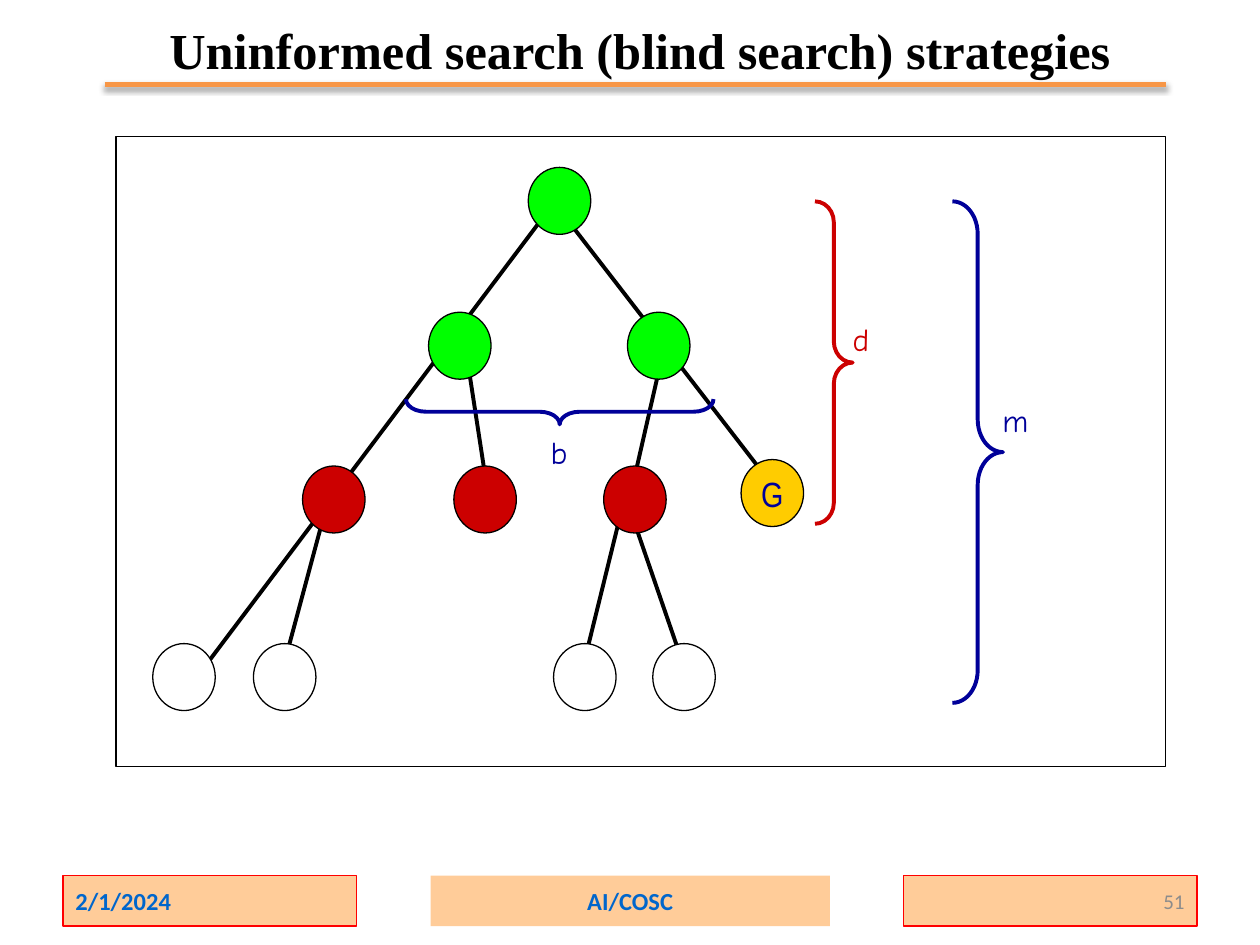
from dataclasses import dataclass
from typing import Optional

from lxml import etree
from pptx import Presentation
from pptx.dml.color import RGBColor
from pptx.enum.shapes import MSO_CONNECTOR, MSO_SHAPE
from pptx.enum.text import MSO_ANCHOR, MSO_AUTO_SIZE, PP_ALIGN
from pptx.oxml.ns import qn
from pptx.util import Cm, Pt

STRAIGHT = MSO_CONNECTOR.STRAIGHT
RECTANGLE, ELLIPSE = MSO_SHAPE.RECTANGLE, MSO_SHAPE.OVAL
LEFT_BRACE, RIGHT_BRACE = MSO_SHAPE.LEFT_BRACE, MSO_SHAPE.RIGHT_BRACE
LEFT, CENTER, RIGHT = PP_ALIGN.LEFT, PP_ALIGN.CENTER, PP_ALIGN.RIGHT
MIDDLE, TOP = MSO_ANCHOR.MIDDLE, MSO_ANCHOR.TOP

BLACK = RGBColor(0x00, 0x00, 0x00)
WHITE = RGBColor(0xFF, 0xFF, 0xFF)
GREEN = RGBColor(0x00, 0xFF, 0x00)
DARK_RED = RGBColor(0xCC, 0x00, 0x00)
RED = RGBColor(0xFF, 0x00, 0x00)
GOLD = RGBColor(0xFF, 0xCC, 0x00)
NAVY = RGBColor(0x00, 0x00, 0x99)
ORANGE = RGBColor(0xF7, 0x96, 0x46)
PEACH = RGBColor(0xFF, 0xCC, 0x99)
BLUE = RGBColor(0x00, 0x66, 0xCC)
GRAY = RGBColor(0x8C, 0x8C, 0x8C)

NODE_WIDTH, NODE_HEIGHT = 1.26, 1.35
ROOT_Y, CHILD_Y, GOAL_Y, GRANDCHILD_Y, LEAF_Y = 4.05, 6.97, 9.94, 10.07, 13.65
TITLE = "Uninformed search (blind search) strategies"


@dataclass(frozen=True)
class TextStyle:
    font: str
    size: float
    color: RGBColor
    bold: bool = False
    alignment: PP_ALIGN = LEFT


@dataclass(frozen=True)
class Node:
    x: float
    y: float
    fill: RGBColor
    label: str = ""


@dataclass(frozen=True)
class Brace:
    kind: MSO_SHAPE
    box: tuple
    curve: float
    color: RGBColor
    label: str
    label_box: tuple
    rotation: float = 0


@dataclass(frozen=True)
class FooterBox:
    left: float
    width: float
    text: str
    style: TextStyle
    line: Optional[RGBColor] = None


FOOTER_STYLE = TextStyle("Calibri", 14, BLUE, True)

EDGES = [
    ((11.15, 4.06), (15.67, 9.91)),
    ((12.65, 10.13), (13.92, 13.82)),
    ((12.65, 9.8), (11.66, 13.82)),
    ((6.6, 10.13), (5.61, 13.82)),
    ((13.41, 6.91), (12.65, 10.24)),
    ((9.37, 6.91), (9.88, 10.24)),
    ((11.4, 3.78), (3.84, 13.82)),
]
NODES = [
    Node(11.28, ROOT_Y, GREEN),
    *(Node(x, CHILD_Y, GREEN) for x in (9.27, 13.28)),
    *(Node(x, GRANDCHILD_Y, DARK_RED) for x in (6.73, 9.78, 12.8)),
    Node(15.57, GOAL_Y, GOLD, "G"),
    *(Node(x, LEAF_Y, WHITE) for x in (3.71, 5.74, 11.79, 13.79)),
]
BRACES = [
    Brace(RIGHT_BRACE, (19.2, 4.06, 1.02, 10.11), 0.646, NAVY,
          "m", (19.96, 7.95, 1.17, 1.27)),
    Brace(LEFT_BRACE, (11.03, 5.2, 0.51, 6.2), 0.792, NAVY,
          "b", (10.85, 8.61, 1.02, 1.27), 270),
    Brace(RIGHT_BRACE, (16.43, 4.06, 0.76, 6.5), 0.556, DARK_RED,
          "d", (16.94, 6.32, 1.02, 1.27)),
]
FOOTERS = [
    FooterBox(1.27, 5.92, "2/1/2024", FOOTER_STYLE, RED),
    FooterBox(8.68, 8.05, "AI/COSC",
              TextStyle("Calibri", 14, BLUE, True, CENTER)),
    FooterBox(18.21, 5.92, "51",
              TextStyle("Calibri", 12, GRAY, alignment=RIGHT), RED),
]


def write_text(frame, text: str, style: TextStyle, anchor=MIDDLE, wrap=True) -> None:
    frame.word_wrap = wrap
    frame.vertical_anchor = anchor
    paragraph = frame.paragraphs[0]
    paragraph.alignment = style.alignment
    run = paragraph.add_run()
    run.text = text
    run.font.name = style.font
    run.font.size = Pt(style.size)
    run.font.bold = style.bold
    run.font.color.rgb = style.color


def add_box(shapes, kind, box: tuple, fill=None, line=None, line_width=0.75):
    shape = shapes.add_shape(kind, *map(Cm, box))
    shape.shadow.inherit = False
    if fill is None:
        shape.fill.background()
    else:
        shape.fill.solid()
        shape.fill.fore_color.rgb = fill
    if line is None:
        shape.line.fill.background()
    else:
        shape.line.color.rgb = line
        shape.line.width = Pt(line_width)
    return shape


def add_line(shapes, start: tuple, end: tuple, color: RGBColor, width: float):
    """Draw a line and return its effect list, which is left empty."""
    connector = shapes.add_connector(STRAIGHT, *map(Cm, start + end))
    connector.line.color.rgb = color
    connector.line.width = Pt(width)
    return etree.SubElement(connector._element.spPr, qn("a:effectLst"))


def add_title_rule(shapes) -> None:
    effects = add_line(shapes, (2.11, 1.7), (23.5, 1.7), ORANGE, 3)
    shadow = etree.SubElement(
        effects, qn("a:outerShdw"), blurRad=str(Pt(3.1)), dist=str(Pt(1.8)),
        dir="5400000", rotWithShape="0")
    color = etree.SubElement(shadow, qn("a:srgbClr"), val=str(BLACK))
    etree.SubElement(color, qn("a:alpha"), val="35000")


def add_node(shapes, node: Node) -> None:
    box = (node.x - NODE_WIDTH / 2, node.y - NODE_HEIGHT / 2, NODE_WIDTH, NODE_HEIGHT)
    shape = add_box(shapes, ELLIPSE, box, node.fill, BLACK)
    if node.label:
        style = TextStyle("Arial Narrow", 20, NAVY, alignment=CENTER)
        write_text(shape.text_frame, node.label, style, wrap=False)


def add_brace(shapes, brace: Brace) -> None:
    shape = add_box(shapes, brace.kind, brace.box, line=brace.color, line_width=2.25)
    shape.adjustments[0] = brace.curve
    shape.rotation = brace.rotation
    frame = shapes.add_textbox(*map(Cm, brace.label_box)).text_frame
    write_text(frame, brace.label, TextStyle("Comic Neue", 18, brace.color), TOP, False)
    frame.auto_size = MSO_AUTO_SIZE.SHAPE_TO_FIT_TEXT


def add_footer(shapes, footer: FooterBox) -> None:
    box = (footer.left, 17.65, footer.width, 1.02)
    shape = add_box(shapes, RECTANGLE, box, PEACH, footer.line)
    write_text(shape.text_frame, footer.text, footer.style)


def main() -> None:
    presentation = Presentation()
    presentation.slide_width, presentation.slide_height = Cm(25.4), Cm(19.05)
    slide = presentation.slides.add_slide(presentation.slide_layouts[5])

    # Title and rule
    add_title_rule(slide.shapes)
    title = slide.shapes.title
    title.left, title.top, title.width, title.height = map(Cm, (2.11, 0.43, 21.59, 1.14))
    title.text_frame.auto_size = MSO_AUTO_SIZE.NONE
    write_text(title.text_frame, TITLE,
               TextStyle("Times New Roman", 28.8, BLACK, True, CENTER))

    # Search tree: frame, edges, nodes, braces
    tree = slide.shapes.add_group_shape().shapes
    add_box(tree, RECTANGLE, (2.34, 2.75, 21.16, 12.7), WHITE, BLACK)
    for start, end in EDGES:
        add_line(tree, start, end, BLACK, 2.25)
    for node in NODES:
        add_node(tree, node)
    for brace in BRACES:
        add_brace(tree, brace)

    # Footer
    for footer in FOOTERS:
        add_footer(slide.shapes, footer)

    presentation.save("out.pptx")


if __name__ == "__main__":
    main()
